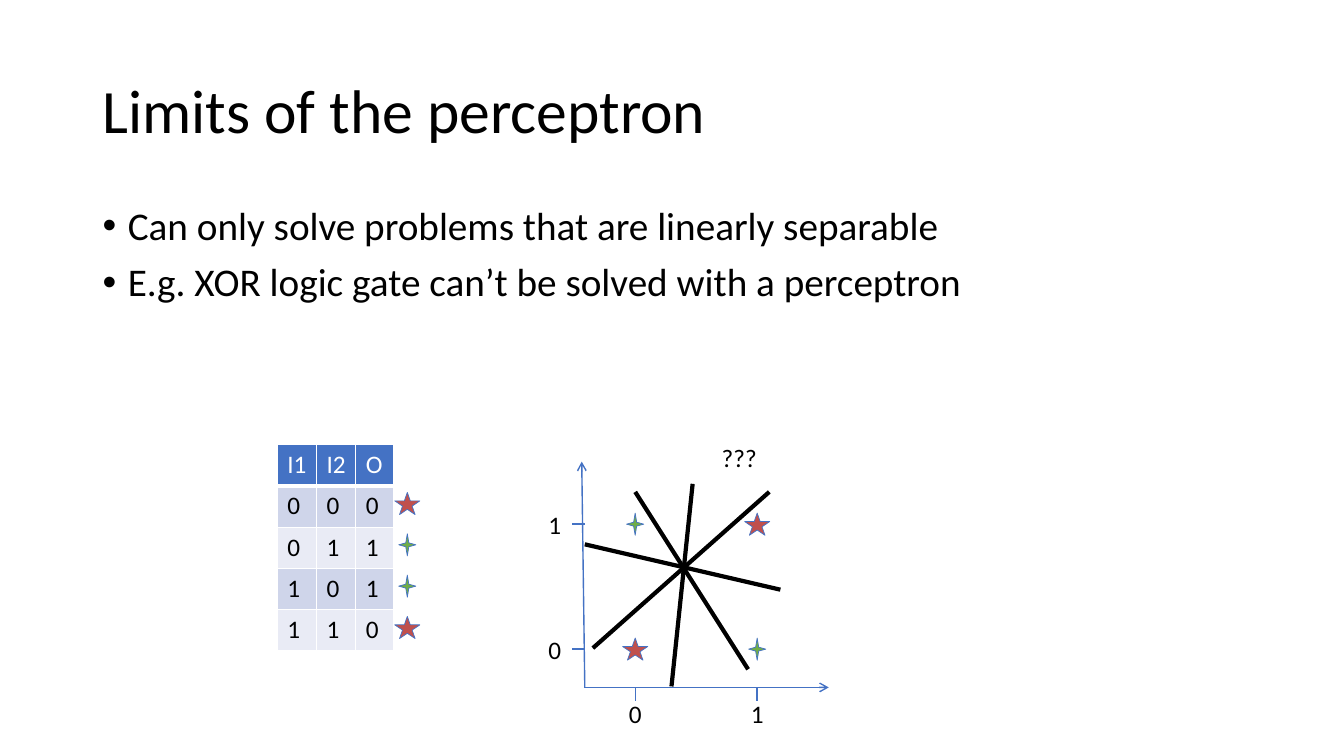
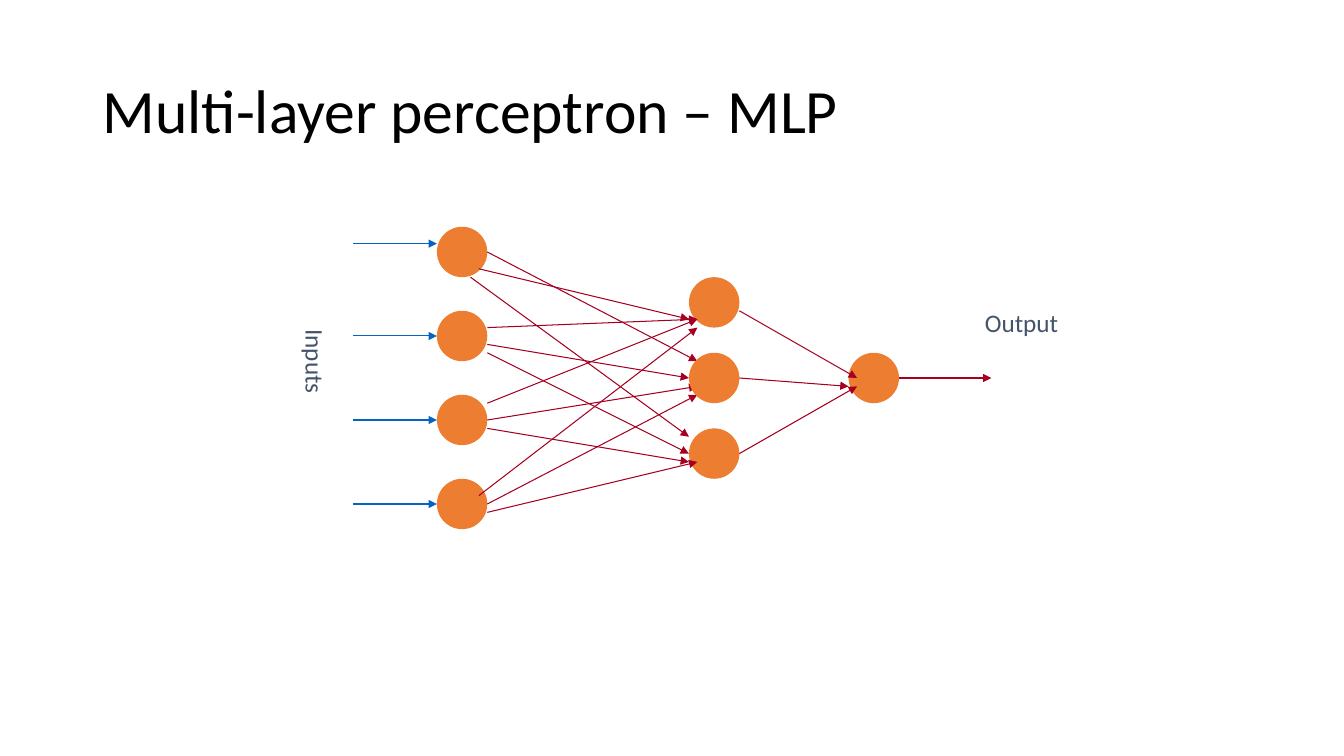
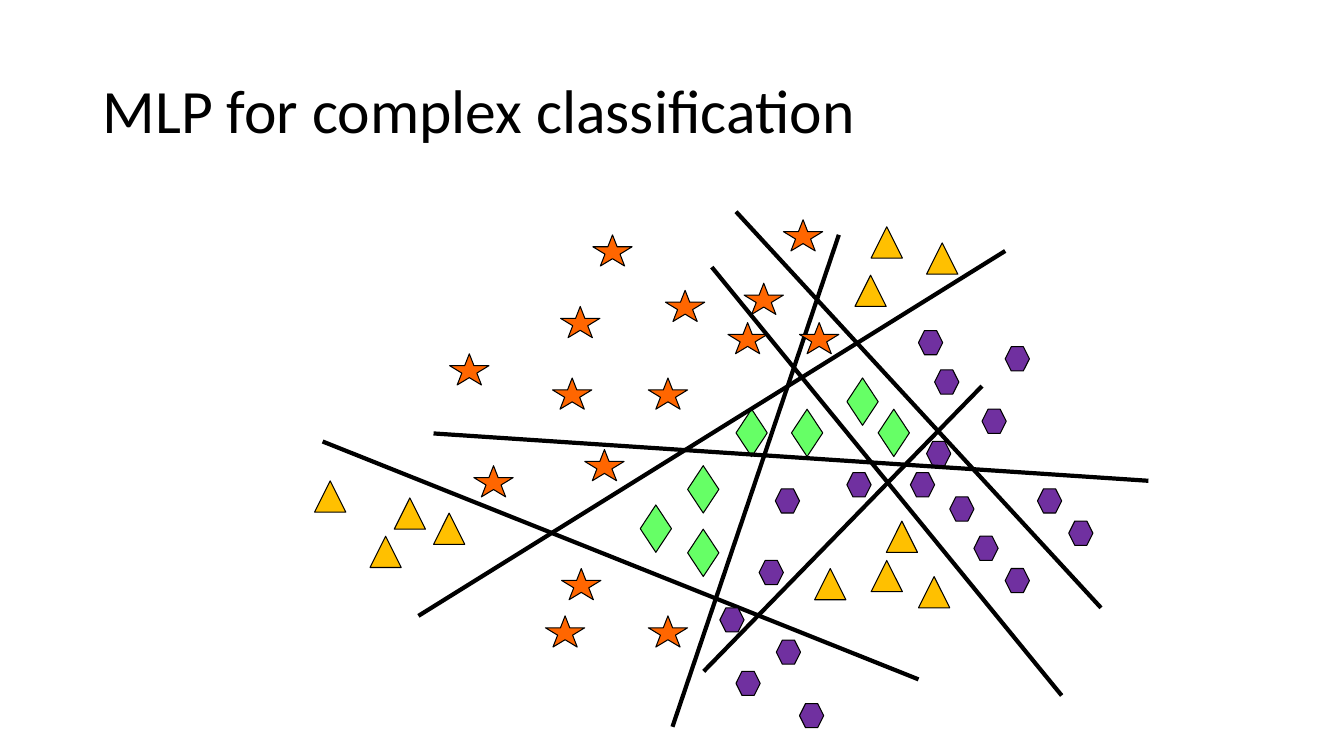
"""Build three slides on the perceptron, its limits and multi-layer networks."""
from lxml.etree import SubElement
from pptx import Presentation
from pptx.dml.color import RGBColor
from pptx.enum.shapes import MSO_CONNECTOR, MSO_SHAPE as Shape
from pptx.enum.text import MSO_ANCHOR, MSO_AUTO_SIZE
from pptx.oxml.ns import qn
from pptx.util import Inches, Pt

FONT = "Calibri"
COLOURS = {
    "black": "000000", "white": "FFFFFF", "axis": "4472C4", "band": "CFD5EA",
    "pale": "E9EBF5", "green": "70AD47", "red": "C0504D", "neuron": "ED7D31",
    "link": "A50021", "input": "0563C1", "caption": "44546A", "orange": "FF6600",
    "lime": "66FF66", "gold": "FFC000", "purple": "7030A0",
}
TITLES = ["Limits of the perceptron", "Multi-layer perceptron – MLP",
          "MLP for complex classification"]

LIMITS = ["Can only solve problems that are linearly separable",
          "E.g. XOR logic gate can’t be solved with a perceptron"]
XOR_HEAD = ("I1", "I2", "O")
XOR_ROWS = [(0, 0, 0), (0, 1, 1), (1, 0, 1), (1, 1, 0)]
XOR_MARKS = [(Shape.STAR_5_POINT, 0.25, 0.22, "red"),
             (Shape.STAR_4_POINT, 0.17, 0.22, "green")]
TABLE_LEFT, TABLE_TOP, ROW_HEIGHT = 2.75, 4.41, 0.41
TABLE_WIDTHS = (0.39, 0.39, 0.37)
ORIGIN_X, ORIGIN_Y, TICK = 5.8, 6.82, 0.13
PLOT_X, PLOT_Y = (6.3, 7.51), (6.44, 5.2)
AXES = [(5.8, 6.82, 5.77, 4.58), (5.79, 6.82, 8.22, 6.82)]
ATTEMPTS = [(5.88, 6.43, 7.63, 4.88), (6.3, 4.88, 7.42, 6.64),
            (6.87, 4.8, 6.66, 6.81), (7.74, 5.85, 5.8, 5.4)]

NET_UNIT = 1 / 12
NEURON = 6
LAYERS = {"input": (55, (30, 40, 50, 60)), "hidden": (85, (36, 45, 54)),
          "output": (104, (45,))}
LINKS_BEHIND = [(58, 30, 83, 43), (58, 41, 82, 45), (58, 50, 83, 46), (58, 60, 83, 47)]
LINKS_FRONT = [
    (57, 32, 82, 38), (56, 33, 82, 52), (58, 39, 83, 38), (58, 42, 82, 54),
    (58, 48, 83, 38), (58, 51, 82, 55), (57, 59, 83, 39), (58, 61, 83, 55),
    (88, 37, 102, 45), (88, 45, 101, 46), (88, 54, 102, 46), (107, 45, 118, 45),
]
INPUT_ARROWS = [(42, y, 52, y) for y in (29, 40, 50, 60)]

CLASSES = {
    "star": (Shape.STAR_5_POINT, 0.39, 0.31, "orange"),
    "diamond": (Shape.DIAMOND, 0.31, 0.47, "lime"),
    "triangle": (Shape.ISOSCELES_TRIANGLE, 0.31, 0.31, "gold"),
    "hexagon": (Shape.HEXAGON, 0.24, 0.24, "purple"),
}
SAMPLES_BEHIND = {
    "star": [(4.46, 3.51), (5.41, 6.11), (4.7, 4.62), (5.48, 3.75), (6.43, 3.75),
             (7.22, 3.2), (5.57, 5.64), (6.43, 6.11)],
    "diamond": [(7.3, 4.06), (8.4, 3.75), (6.82, 5.25), (7.85, 4.06), (6.82, 4.62),
                (8.71, 4.06), (6.35, 5.01)],
    "triangle": [(3.12, 4.77), (3.91, 4.94), (3.67, 5.32), (4.3, 5.09)],
    "hexagon": [(9.11, 3.28), (9.27, 3.67), (9.97, 3.44), (9.74, 4.06), (9.19, 4.38),
                (8.4, 4.69), (9.42, 4.93), (7.69, 4.85), (7.53, 5.56), (9.66, 5.32),
                (9.97, 5.64)],
}
SAMPLES_FRONT = {
    "star": [(7.93, 3.2), (7.38, 2.81), (7.77, 2.18), (5.8, 4.46), (6.6, 2.88),
             (5.56, 3.04), (5.88, 2.33)],
    "triangle": [(8.48, 2.73), (8.64, 2.25), (9.19, 2.41), (8.64, 5.56), (8.79, 5.17),
                 (8.08, 5.64), (9.11, 5.72)],
    "hexagon": [(9.03, 4.69), (7.14, 6.03), (7.7, 6.35), (7.3, 6.66), (7.93, 6.98),
                (10.6, 5.17), (10.29, 4.85)],
}
BOUNDARIES = [
    (4.15, 6.11, 9.97, 2.49), (3.2, 4.38, 9.11, 6.74), (7.3, 2.1, 10.92, 6.03),
    (6.67, 7.21, 8.32, 2.33), (11.39, 4.77, 4.3, 4.3), (6.98, 6.66, 9.74, 3.83),
    (7.06, 2.65, 10.53, 6.9),
]


def rgb(name):
    return RGBColor.from_string(COLOURS[name])


def style(paragraph, size, colour):
    paragraph.font.name = FONT
    paragraph.font.size = Pt(size)
    paragraph.font.color.rgb = rgb(colour)


def add_text(slide, box, lines, size=18, colour="black", wrap=True):
    frame = slide.shapes.add_textbox(*map(Inches, box)).text_frame
    frame.word_wrap = wrap
    frame.auto_size = MSO_AUTO_SIZE.NONE
    frame.text = "\n".join(lines)
    for paragraph in frame.paragraphs:
        style(paragraph, size, colour)
    return frame


def add_title_slide(deck, title):
    slide = deck.slides.add_slide(deck.slide_layouts[6])
    frame = add_text(slide, (0.92, 0.4, 11.5, 1.45), [title], 44)
    frame.vertical_anchor = MSO_ANCHOR.MIDDLE
    frame.paragraphs[0].line_spacing = 0.9
    return slide


def add_line(slide, ends, colour, width, arrow=None):
    line = slide.shapes.add_connector(MSO_CONNECTOR.STRAIGHT, *map(Inches, ends))
    line.line.color.rgb = rgb(colour)
    line.line.width = Pt(width)
    properties = line._element.spPr
    if arrow:
        SubElement(properties.find(qn("a:ln")), qn("a:tailEnd"), type=arrow)
    SubElement(properties, qn("a:effectLst"))


def add_mark(slide, left, top, mark, outline=None, weight=0.75):
    kind, width, height, colour = mark
    shape = slide.shapes.add_shape(kind, *map(Inches, (left, top, width, height)))
    shape.shadow.inherit = False
    shape.fill.solid()
    shape.fill.fore_color.rgb = rgb(colour)
    if outline:
        shape.line.color.rgb = rgb(outline)
        shape.line.width = Pt(weight)
    else:
        shape.line.fill.background()


def add_xor_mark(slide, x, y, output):
    mark = XOR_MARKS[output]
    add_mark(slide, x - mark[1] / 2, y - mark[2] / 2, mark, "axis", 0.5)


def style_cell(cell, fill, colour, bottom):
    properties = cell._tc.get_or_add_tcPr()
    for side, width in (("L", 1), ("R", 1), ("T", 1), ("B", bottom)):
        border = SubElement(properties, qn(f"a:ln{side}"), w=str(Pt(width)))
        paint = SubElement(border, qn("a:solidFill"))
        SubElement(paint, qn("a:srgbClr"), val=COLOURS["white"])
    cell.fill.solid()
    cell.fill.fore_color.rgb = rgb(fill)
    style(cell.text_frame.paragraphs[0], 18, colour)


def add_truth_table(slide):
    rows = [XOR_HEAD, *XOR_ROWS]
    box = (TABLE_LEFT, TABLE_TOP, sum(TABLE_WIDTHS), ROW_HEIGHT * len(rows))
    table = slide.shapes.add_table(len(rows), len(XOR_HEAD), *map(Inches, box)).table
    table.first_row = table.horz_banding = False
    for column, width in zip(table.columns, TABLE_WIDTHS):
        column.width = Inches(width)
    for r, values in enumerate(rows):
        look = ("axis", "white", 3) if r == 0 else (("pale", "band")[r % 2], "black", 1)
        for c, value in enumerate(values):
            cell = table.cell(r, c)
            cell.text = str(value)
            style_cell(cell, *look)
    for r, (*_, output) in enumerate(XOR_ROWS, 1):
        add_xor_mark(slide, 4.04, TABLE_TOP + (r + 0.5) * ROW_HEIGHT - 0.03, output)


def add_xor_plot(slide):
    for axis in AXES:
        add_line(slide, axis, "axis", 1, "arrow")
    for value, (x, y) in enumerate(zip(PLOT_X, PLOT_Y)):
        add_line(slide, (x, ORIGIN_Y, x, ORIGIN_Y + TICK), "axis", 1)
        add_line(slide, (ORIGIN_X, y, ORIGIN_X - TICK, y), "axis", 1)
        for left, top in ((x - 0.16, 6.88), (5.34, y - 0.2)):
            add_text(slide, (left, top, 0.33, 0.4), [str(value)], wrap=False)
    for i1, i2, output in XOR_ROWS:
        add_xor_mark(slide, PLOT_X[i1], PLOT_Y[i2], output)
    for attempt in ATTEMPTS:
        add_line(slide, attempt, "black", 3)
    add_text(slide, (7.06, 4.34, 0.55, 0.4), ["???"], wrap=False)


def build_limits(slide):
    frame = add_text(slide, (0.92, 2, 11.5, 4.76), LIMITS, 28)
    for paragraph in frame.paragraphs:
        paragraph.line_spacing = 0.9
        paragraph.space_before = Pt(10)
        properties = paragraph._p.get_or_add_pPr()
        properties.set("marL", str(Inches(0.25)))
        properties.set("indent", str(Inches(-0.25)))
        bullet_font = SubElement(properties, qn("a:buFont"), typeface="Arial")
        bullet_font.addnext(SubElement(properties, qn("a:buChar"), char="•"))
        properties.append(properties.find(qn("a:defRPr")))
    add_truth_table(slide)
    add_xor_plot(slide)


def add_layer(slide, name):
    x, rows = LAYERS[name]
    size = NEURON * NET_UNIT
    for y in rows:
        add_mark(slide, (x - NEURON / 2) * NET_UNIT, (y - NEURON / 2) * NET_UNIT,
                 (Shape.OVAL, size, size, "neuron"))


def add_links(slide, links, colour):
    for link in links:
        add_line(slide, [n * NET_UNIT for n in link], colour, 0.75, "triangle")


def build_network(slide):
    add_layer(slide, "input")
    add_links(slide, LINKS_BEHIND, "link")
    add_layer(slide, "hidden")
    add_layer(slide, "output")
    add_links(slide, LINKS_FRONT, "link")
    add_links(slide, INPUT_ARROWS, "input")
    inputs = add_text(slide, (2.83, 3.17, 0.5, 1.67), ["Inputs"], colour="caption")
    inputs._txBody.bodyPr.set("vert", "eaVert")
    add_text(slide, (9.67, 3, 1.33, 0.4), ["Output"], colour="caption")


def add_samples(slide, samples):
    for name, places in samples.items():
        for left, top in places:
            add_mark(slide, left, top, CLASSES[name], "black")


def build_classes(slide):
    add_samples(slide, SAMPLES_BEHIND)
    for boundary in BOUNDARIES:
        add_line(slide, boundary, "black", 3)
    add_samples(slide, SAMPLES_FRONT)


def main():
    deck = Presentation()
    deck.slide_width, deck.slide_height = Inches(13.33), Inches(7.5)
    for title, build in zip(TITLES, (build_limits, build_network, build_classes)):
        build(add_title_slide(deck, title))
    deck.save("out.pptx")


if __name__ == "__main__":
    main()
